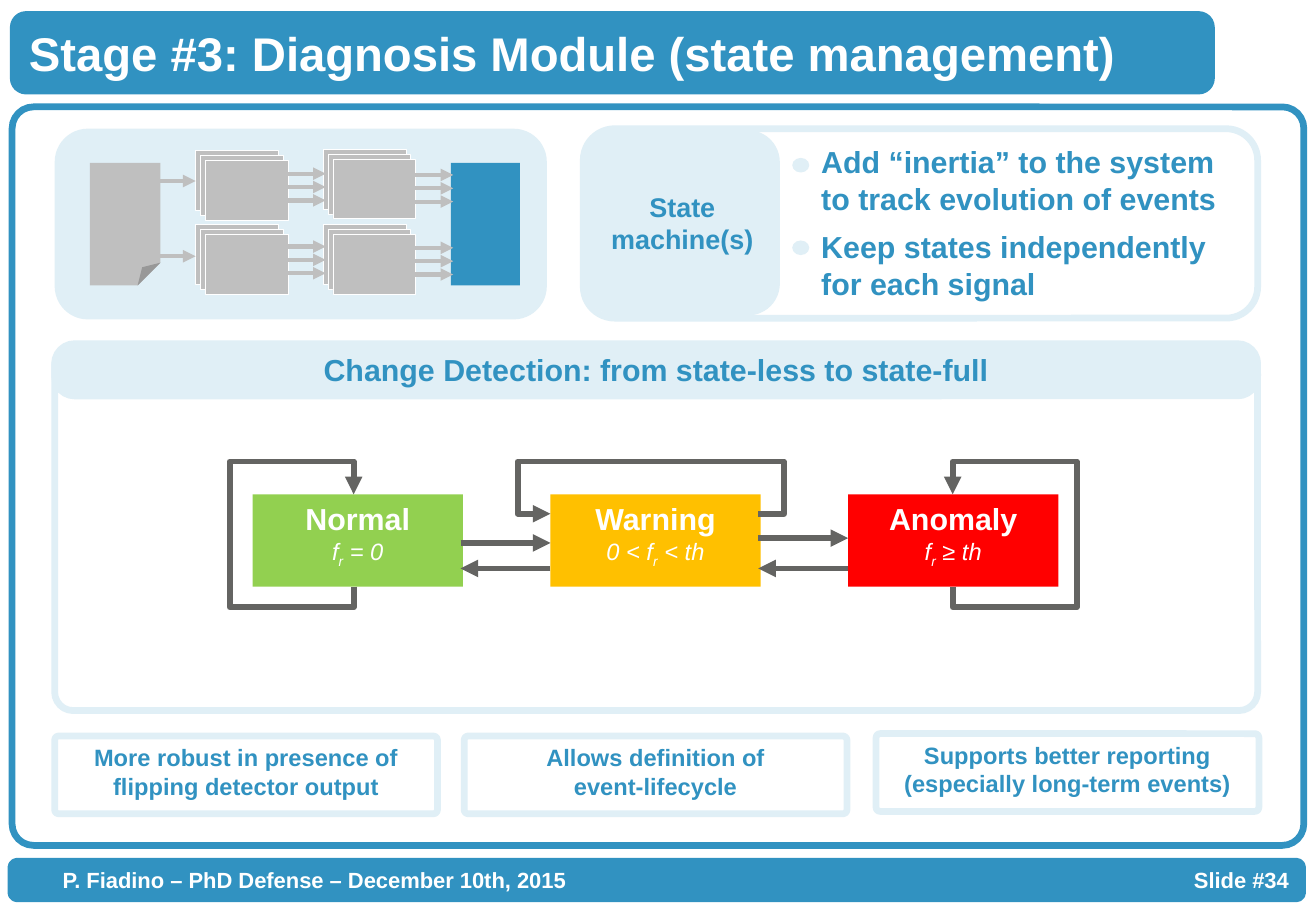
from pptx import Presentation
from pptx.dml.color import RGBColor
from pptx.enum.shapes import MSO_CONNECTOR, MSO_SHAPE
from pptx.enum.text import MSO_ANCHOR, PP_ALIGN
from pptx.oxml.ns import qn
from pptx.util import Emu, Pt
from lxml import etree

RECT, ROUND = MSO_SHAPE.RECTANGLE, MSO_SHAPE.ROUNDED_RECTANGLE
OVAL, FOLDED = MSO_SHAPE.OVAL, MSO_SHAPE.FOLDED_CORNER
STRAIGHT = MSO_CONNECTOR.STRAIGHT
TOP, MIDDLE = MSO_ANCHOR.TOP, MSO_ANCHOR.MIDDLE
LEFT, CENTER = PP_ALIGN.LEFT, PP_ALIGN.CENTER
PX = 9144
COLORS = {
    "blue": "3192C1", "pale": "E0EFF6", "white": "FFFFFF", "gray": "BFBFBF",
    "dark": "646462", "green": "92D050", "amber": "FFC000", "red": "FF0000",
}


def px(*lengths):
    """Turn px lengths into EMU."""
    return [Emu(n * PX) for n in lengths]


def rgb(name):
    """Look up a colour by name."""
    return RGBColor.from_string(COLORS[name])


def add_run(p, text, size, color, base=0, **fmt):
    """Add a formatted run, shifted by base when it is a subscript."""
    r = p.add_run()
    r.text = text
    for key, value in {"name": "Arial", "size": Pt(size), "bold": True, **fmt}.items():
        setattr(r.font, key, value)
    r.font.color.rgb = rgb(color)
    if base:
        r._r.get_or_add_rPr().set("baseline", str(base))


def write(s, lines, size, color, align=CENTER, anchor=MIDDLE):
    """Write one paragraph per line into a shape."""
    tf = s.text_frame
    tf.word_wrap = True
    tf.vertical_anchor = anchor
    for i, line in enumerate(lines):
        p = tf.add_paragraph() if i else tf.paragraphs[0]
        p.alignment = align
        add_run(p, line, size, color)
    return tf


def add_box(shapes, kind, box, fill=None, line=None, width=4, adj=None):
    """Add a preset shape without shadow."""
    s = shapes.add_shape(kind, *px(*box))
    s.shadow.inherit = False
    if adj is not None:
        guides = s.element.spPr.find(qn("a:prstGeom")).get_or_add_avLst()
        for guide in list(guides):
            guides.remove(guide)
        etree.SubElement(guides, qn("a:gd"), name="adj", fmla=f"val {round(adj * 100000)}")
    if fill:
        s.fill.solid()
        s.fill.fore_color.rgb = rgb(fill)
    else:
        s.fill.background()
    if line:
        s.line.color.rgb = rgb(line)
        s.line.width = Pt(width)
    else:
        s.line.fill.background()
    return s


def style_arrow(s, color, width):
    """Colour a line and end it with a triangle."""
    s.line.color.rgb = rgb(color)
    s.line.width = Pt(width)
    etree.SubElement(s.element.spPr.get_or_add_ln(), qn("a:tailEnd"), type="triangle")


def add_arrow(shapes, x1, x2, y, color="gray", width=2.5):
    """Add a horizontal arrow."""
    s = shapes.add_connector(STRAIGHT, *px(x1, y, x2, y))
    style_arrow(s, color, width)
    etree.SubElement(s.element.spPr, qn("a:effectLst"))


def add_loop(shapes, points):
    """Add an angled arrow through the points."""
    builder = shapes.build_freeform(*points[0], scale=PX)
    builder.add_line_segments(points[1:], close=False)
    s = builder.convert_to_shape()
    s.shadow.inherit = False
    s.fill.background()
    style_arrow(s, "dark", 3.5)


def draw_title(shapes, box):
    """Draw the title bar."""
    s = add_box(shapes, ROUND, box, "blue", "blue")
    write(s, ["Stage #3: Diagnosis Module (state management)"], 28, "white", LEFT)


def draw_footer(shapes, box):
    """Draw the footer bar with a right-aligned slide number."""
    s = add_box(shapes, ROUND, box, "blue", "blue")
    tf = write(s, ["P. Fiadino – PhD Defense – December 10th, 2015\tSlide #34"], 13, "white", LEFT)
    tf.margin_left, tf.margin_right = px(41, 10)
    tabs = etree.SubElement(tf.paragraphs[0]._p.get_or_add_pPr(), qn("a:tabLst"))
    etree.SubElement(tabs, qn("a:tab"), pos=str((box[2] - 53) * PX), algn="r")


def draw_pipeline(shapes, box):
    """Draw the small overview of the processing stages."""
    x, y, w, h = box
    add_box(shapes, ROUND, box, "pale", adj=0.174)
    for left, top in ((116, 18), (116, 79), (221, 17), (221, 79)):
        for step in (0, 4, 8):
            sheet = (x + left + step, y + top + step, 68, 49)
            add_box(shapes, RECT, sheet, "gray", "white", 0.25)
    add_box(shapes, FOLDED, (x + 29, y + 28, 58, 101), "gray", adj=0.323)
    add_box(shapes, RECT, (x + 326, y + 28, 57, 101), "blue")
    for top in (43, 105):
        add_arrow(shapes, x + 84, x + 116, y + top)
    for left, first in ((191, 37), (296, 38)):
        for row in (first, first + 60):
            for step in (0, 11, 22):
                add_arrow(shapes, x + left, x + left + 32, y + row + step)


def draw_state_machine(shapes, box):
    """Draw the labelled panel with its two bullet points."""
    x, y, w, h = box
    add_box(shapes, ROUND, box, line="pale")
    s = add_box(shapes, ROUND, (x + 4, y + 4, 155, 147), "pale", "pale", adj=0.16)
    write(s, ["State machine(s)"], 16, "blue")
    points = ((7, 24, "Add “inertia” to the system to track evolution of events"),
              (77, 92, "Keep states independently for each signal"))
    for top, dot, text in points:
        add_box(shapes, OVAL, (x + 172, y + dot, 14, 12), "pale")
        s = shapes.add_textbox(*px(x + 186, y + top, w - 186, 71))
        write(s, [text], 18, "blue", LEFT, TOP)


def draw_detection(shapes, box):
    """Draw the framed state diagram."""
    x, y, w, h = box
    s = add_box(shapes, ROUND, (x, y - 3, w, 43), "pale", "pale", adj=0.383)
    write(s, ["Change Detection: from state-less to state-full"], 18, "blue")
    add_box(shapes, ROUND, box, line="pale", adj=0.051)
    states = (("Normal", "green", "f", " = 0"), ("Warning", "amber", "0 < f", " < th"),
              ("Anomaly", "red", "f", " ≥ th"))
    sw, sh, pitch = 173, 76, 245
    lefts = [x + 163 + i * pitch for i in range(3)]
    top = y + 121
    for left, (name, fill, before, after) in zip(lefts, states):
        s = add_box(shapes, RECT, (left, top, sw, sh), fill)
        tf = write(s, [name], 18, "white", anchor=TOP)
        p = tf.add_paragraph()
        p.alignment = CENTER
        for text, base in ((before, 0), ("r", -25000), (after, 0)):
            add_run(p, text, 14, "white", base, bold=False, italic=True)
    for left, out in zip(lefts, (40, 36)):
        add_arrow(shapes, left + sw - 2, left + pitch, top + out, "dark", 3.5)
        add_arrow(shapes, left + pitch, left + sw - 2, top + 61, "dark", 3.5)
    for left, side in ((lefts[0], -102), (lefts[2], 102)):
        mid = left + sw // 2 - 3 * (side < 0)
        add_loop(shapes, [(mid, top + sh), (mid, top + 93), (mid + side, top + 93),
                          (mid + side, top - 27), (mid, top - 27), (mid, top)])
    left, right = lefts[1], lefts[1] + sw
    add_loop(shapes, [(right - 2, top + 16), (right + 19, top + 16), (right + 19, top - 27),
                      (left - 27, top - 27), (left - 27, top + 16), (left, top + 16)])


def draw_benefit(shapes, box, lines):
    """Draw one outlined benefit card."""
    s = add_box(shapes, ROUND, box, line="pale", adj=0.051)
    write(s, lines, 14, "blue", anchor=TOP)


def main():
    """Build the slide and save it."""
    prs = Presentation()
    prs.slide_width, prs.slide_height = px(1083, 750)
    shapes = prs.slides.add_slide(prs.slide_layouts[6]).shapes
    draw_title(shapes, (11, 12, 986, 63))
    add_box(shapes, ROUND, (10, 88, 1063, 608), line="blue", adj=0.029)
    draw_pipeline(shapes, (45, 106, 405, 157))
    draw_state_machine(shapes, (480, 106, 555, 156))
    draw_detection(shapes, (45, 286, 990, 299))
    benefits = ((45, 606, ["More robust in presence of flipping detector output"]),
                (382, 606, ["Allows definition of", "event-lifecycle"]),
                (721, 604, ["Supports better reporting", "(especially long-term events)"]))
    for x, y, lines in benefits:
        draw_benefit(shapes, (x, y, 315, 64), lines)
    draw_footer(shapes, (9, 709, 1063, 31))
    prs.save("out.pptx")


if __name__ == "__main__":
    main()
